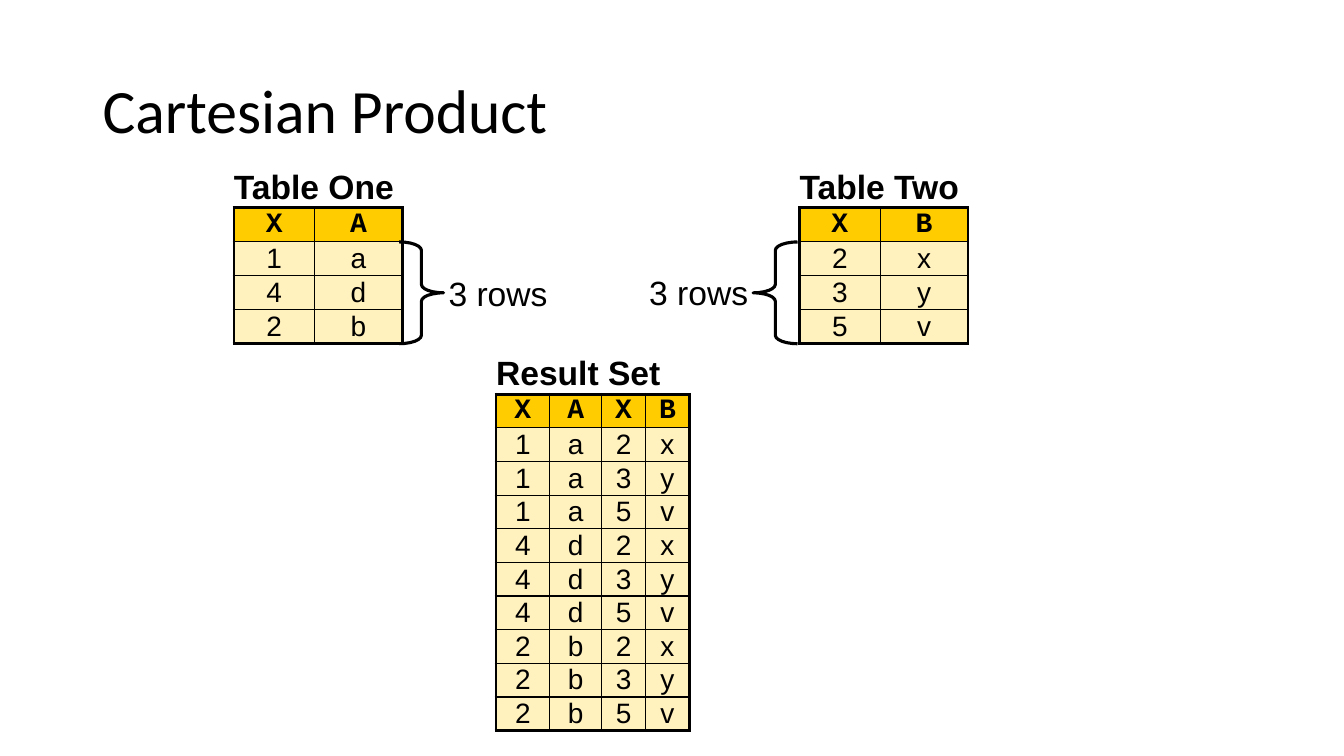
import itertools

import pptx
import pptx.dml.color
import pptx.enum.shapes
import pptx.enum.text
import pptx.util
import lxml.etree

BLACK = pptx.dml.color.RGBColor(0x00, 0x00, 0x00)
GOLD = pptx.dml.color.RGBColor(0xFF, 0xCC, 0x00)
CREAM = pptx.dml.color.RGBColor(0xFF, 0xF2, 0xBE)

TITLE = "Cartesian Product"
ONE_ROWS = [("1", "a"), ("4", "d"), ("2", "b")]
TWO_ROWS = [("2", "x"), ("3", "y"), ("5", "v")]
RESULT_ROWS = [one + two for one, two in itertools.product(ONE_ROWS, TWO_ROWS)]
RELATIONS = [
    ("Table One", "XA", ONE_ROWS, (2.32, 1.66, 1.75), (0.8, 0.87)),
    ("Table Two", "XB", TWO_ROWS, (7.93, 1.66, 1.75), (0.8, 0.87)),
    ("Result Set", "XAXB", RESULT_ROWS, (4.92, 3.51, 3.73), (0.53, 0.52, 0.43, 0.44)),
]
ROW_COUNTS = [("3 rows", 3.96, 0, 4.35, 2.61), ("3 rows", 7.47, 180, 6.34, 2.6)]

CAPTION_HEIGHT = 0.4
BRACE_TOP, BRACE_WIDTH, BRACE_HEIGHT = 2.4, 0.44, 1.01
THICK, THIN = 2.25, 1
NO_STYLE = "{2D5ABB26-0587-4C30-8999-92F81FD0307C}"

inch = pptx.util.Inches
qn = pptx.oxml.ns.qn
MIDDLE = pptx.enum.text.MSO_ANCHOR.MIDDLE


def style_font(paragraph, size, name, bold=False):
    paragraph.font.size = pptx.util.Pt(size)
    paragraph.font.name = name
    paragraph.font.bold = bold
    paragraph.font.color.rgb = BLACK


def add_label(slide, text, box, size, name, wrap, inset):
    frame = slide.shapes.add_textbox(*map(inch, box)).text_frame
    frame.word_wrap = wrap
    frame.vertical_anchor = MIDDLE if wrap else pptx.enum.text.MSO_ANCHOR.TOP
    frame.margin_top = frame.margin_bottom = inch(inset)
    paragraph = frame.paragraphs[0]
    paragraph.text = text
    style_font(paragraph, size, name)
    return paragraph


def set_borders(cell, widths):
    properties = cell._tc.get_or_add_tcPr()
    for side in "LRTB":
        if side in widths:
            line = lxml.etree.SubElement(
                properties, qn("a:ln" + side), w=str(pptx.util.Pt(widths[side]))
            )
            fill = lxml.etree.SubElement(line, qn("a:solidFill"))
            lxml.etree.SubElement(fill, qn("a:srgbClr"), val=str(BLACK))


def fill_cell(cell, text, size, name, bold, inset):
    cell.vertical_anchor = MIDDLE
    cell.margin_left = cell.margin_right = inch(inset)
    cell.margin_top = cell.margin_bottom = 0
    paragraph = cell.text_frame.paragraphs[0]
    paragraph.text = text
    style_font(paragraph, size, name, bold)
    return paragraph


def add_relation(slide, caption, header, records, place, widths):
    left, top, height = place
    grid = [tuple(header)] + records
    last_row, last_column = len(grid), len(widths) - 1
    table = slide.shapes.add_table(
        last_row + 1, len(widths), inch(left), inch(top), inch(sum(widths)), inch(height)
    ).table
    table.first_row = table.horz_banding = False
    table._tbl.tblPr.find(qn("a:tableStyleId")).text = NO_STYLE
    for column, width in zip(table.columns, widths):
        column.width = inch(width)
    for number, row in enumerate(table.rows):
        row.height = inch((height - CAPTION_HEIGHT) / last_row if number else CAPTION_HEIGHT)

    table.cell(0, 0).merge(table.cell(0, last_column))
    fill_cell(table.cell(0, 0), caption, 24, "Arial", True, 0)
    for column in range(len(widths)):
        set_borders(table.cell(0, column), {"B": THICK})
        table.cell(0, column).fill.background()

    for number, values in enumerate(grid, 1):
        is_header = number == 1
        for column, value in enumerate(values):
            cell = table.cell(number, column)
            paragraph = fill_cell(
                cell, value, 20, "Courier New" if is_header else "Arial", is_header, 0.1
            )
            paragraph.alignment = pptx.enum.text.PP_ALIGN.CENTER
            outer = {
                "L": column == 0,
                "R": column == last_column,
                "T": is_header,
                "B": number == last_row,
            }
            set_borders(cell, {side: THICK if edge else THIN for side, edge in outer.items()})
            cell.fill.solid()
            cell.fill.fore_color.rgb = GOLD if is_header else CREAM


def add_row_count(slide, text, brace_left, rotation, text_left, text_top):
    brace = slide.shapes.add_shape(
        pptx.enum.shapes.MSO_SHAPE.RIGHT_BRACE,
        *map(inch, (brace_left, BRACE_TOP, BRACE_WIDTH, BRACE_HEIGHT)),
    )
    brace.adjustments[0] = 0.19
    brace.rotation = rotation
    brace.shadow.inherit = False
    brace.fill.background()
    brace.line.color.rgb = BLACK
    brace.line.width = pptx.util.Pt(THICK)
    add_label(slide, text, (text_left, text_top, 1.19, 0.6), 24, "Arial", False, 0.1)


def main():
    deck = pptx.Presentation()
    deck.slide_width, deck.slide_height = inch(13.33), inch(7.5)
    slide = deck.slides.add_slide(deck.slide_layouts[6])
    title = add_label(slide, TITLE, (0.92, 0.4, 11.5, 1.45), 44, "Calibri", True, 0.05)
    title.line_spacing = 0.9
    for relation in RELATIONS:
        add_relation(slide, *relation)
    for row_count in ROW_COUNTS:
        add_row_count(slide, *row_count)
    deck.save("out.pptx")


if __name__ == "__main__":
    main()
